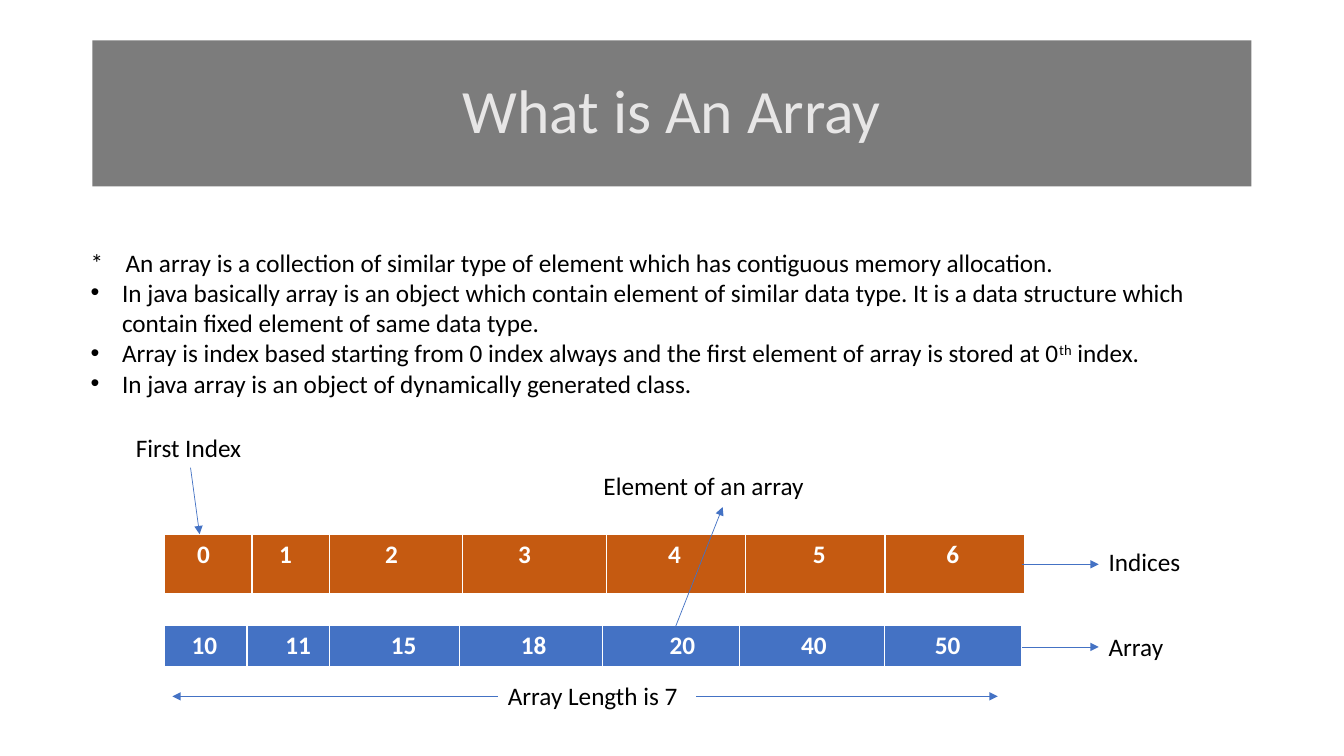
from lxml import etree
from pptx import Presentation
from pptx.dml.color import RGBColor
from pptx.enum import shapes, text
from pptx.oxml import ns
from pptx.util import Pt

FONT = "Calibri"
BLUE, ORANGE, GRAY = "4472C4", "C55A11", "7C7C7C"
BLACK, WHITE, LIGHT = "000000", "FFFFFF", "E7E6E6"
SPACE = 4.07  # width of one space at 18 pt


def color(value):
    return RGBColor.from_string(value)


def write(paragraph, content, size=18, fill=BLACK, bold=False, superscript=False):
    run = paragraph.add_run()
    run.text = content
    run.font.name = FONT
    run.font.size = Pt(size)
    run.font.bold = bold
    run.font.color.rgb = color(fill)
    if superscript:
        run.font._element.set("baseline", "30000")


presentation = Presentation()
presentation.slide_width, presentation.slide_height = Pt(960), Pt(540)
slide = presentation.slides.add_slide(presentation.slide_layouts[6])

# Title band
title = slide.shapes.add_shape(shapes.MSO_SHAPE.RECTANGLE, Pt(66), Pt(28.8), Pt(828), Pt(104.4))
title.shadow.inherit = False
title.fill.solid()
title.fill.fore_color.rgb = color(GRAY)
title.line.fill.background()
title.text_frame.vertical_anchor = text.MSO_ANCHOR.MIDDLE
paragraph = title.text_frame.paragraphs[0]
paragraph.alignment = text.PP_ALIGN.CENTER
paragraph.line_spacing = 0.9
write(paragraph, "What is An Array", size=44, fill=LIGHT)

# Explanation: marker, hanging indent, text pieces (every second one raised)
points = [
    (None, 25, ["*\tAn array is a collection of similar type of element which has "
                "contiguous memory allocation."]),
    ("•", 22.5, ["In java basically array is an object which contain element of similar "
                 "data type. It is a data structure which contain fixed element of same "
                 "data type."]),
    ("•", 22.5, ["Array is index based starting from 0 index always and the first element "
                 "of array is stored at 0", "th", " index."]),
    ("•", 22.5, ["In java array is an object of dynamically generated class."]),
]
body = slide.shapes.add_textbox(Pt(57.6), Pt(172.8), Pt(847.4), Pt(138.2))
body.text_frame.word_wrap = True
for number, (marker, indent, pieces) in enumerate(points):
    paragraph = body.text_frame.add_paragraph() if number else body.text_frame.paragraphs[0]
    properties = paragraph._p.get_or_add_pPr()
    properties.set("marL", str(Pt(indent)))
    properties.set("indent", str(-Pt(indent)))
    if marker:
        etree.SubElement(properties, ns.qn("a:buFont")).set("typeface", "Arial")
        etree.SubElement(properties, ns.qn("a:buChar")).set("char", marker)
    for position, piece in enumerate(pieces):
        write(paragraph, piece, superscript=position % 2 == 1)

# Index row and array row: top, height, fill, column widths, values, lead-in spaces
rows = [
    (381.6, 42.5, ORANGE, [62.6, 55.4, 95, 103, 99.4, 99.4, 99.4],
     range(7), [4, 3, 8, 8, 9, 10, 9]),
    (446.4, 29.5, BLUE, [59, 59, 92.9, 102.2, 97.9, 103.7, 97.9],
     [10, 11, 15, 18, 20, 40, 50], [3, 5, 9, 9, 10, 9, 7]),
]
for top, height, fill, widths, values, leads in rows:
    table = slide.shapes.add_table(
        1, len(widths), Pt(117.4), Pt(top), Pt(sum(widths)), Pt(height)).table
    table.rows[0].height = Pt(height)
    for column, (width, value, lead) in enumerate(zip(widths, values, leads)):
        table.columns[column].width = Pt(width)
        cell = table.cell(0, column)
        cell.fill.solid()
        cell.fill.fore_color.rgb = color(fill)
        cell.margin_left = Pt(7.2 + lead * SPACE)
        write(cell.text_frame.paragraphs[0], str(value), fill=WHITE, bold=True)

# Labels
labels = {}
for name, left, top, width, height in [
    ("First Index", 90, 305.3, 211, 29),
    ("Element of an array", 424, 332.6, 184.3, 29),
    ("Indices", 784.8, 386.6, 82, 33),
    ("Array", 784.8, 447.1, 100, 30),
    ("Array Length is 7", 355.7, 482.4, 357, 30),
]:
    label = slide.shapes.add_textbox(Pt(left), Pt(top), Pt(width), Pt(height))
    label.text_frame.word_wrap = True
    write(label.text_frame.paragraphs[0], name)
    labels[name] = label

# Arrows: start, end, label joined at the start, label joined at the end
for start, end, source, target in [
    ((136.1, 334.1), (142.6, 381.6), None, None),
    ((480.2, 453.6), (516.2, 362.2), None, None),
    ((730.1, 403.1), (784.8, 403.1), None, "Indices"),
    ((730.1, 462.1), (784.8, 462.1), None, "Array"),
    ((355.7, 497.4), (123.1, 497.4), "Array Length is 7", None),
    ((497.5, 497.4), (712.7, 497.4), None, None),
]:
    arrow = slide.shapes.add_connector(
        shapes.MSO_CONNECTOR.STRAIGHT, *[Pt(value) for value in start + end])
    if source:
        arrow.begin_connect(labels[source], 1)
    if target:
        arrow.end_connect(labels[target], 1)
    arrow.line.color.rgb = color(BLUE)
    arrow.line.width = Pt(0.5)
    etree.SubElement(arrow.line._get_or_add_ln(), ns.qn("a:tailEnd")).set("type", "triangle")
    etree.SubElement(arrow._element.spPr, ns.qn("a:effectLst"))

presentation.save("out.pptx")
